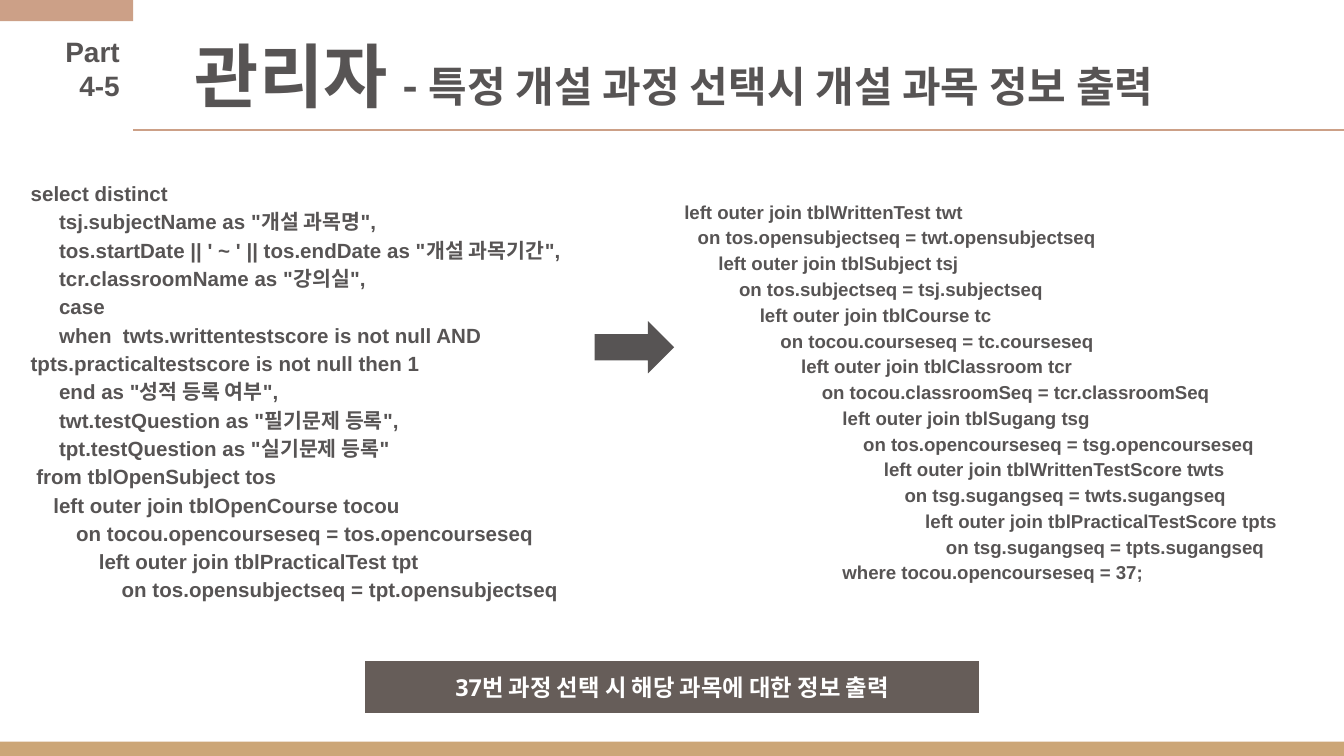
from dataclasses import dataclass

from lxml import etree
from pptx import Presentation
from pptx.dml.color import RGBColor
from pptx.enum.shapes import MSO_CONNECTOR as Connector, MSO_SHAPE as Shape
from pptx.enum.text import MSO_ANCHOR as Anchor, MSO_AUTO_SIZE as AutoSize, PP_ALIGN as Align
from pptx.oxml.ns import qn
from pptx.util import Inches, Pt

WIDTH = 10
HEIGHT = WIDTH * 9 / 16


@dataclass(frozen=True)
class Theme:
    """Colours, fonts and type sizes of the slide."""
    ink: str = "575454"
    sand: str = "CCA677"
    clay: str = "CCA087"
    banner: str = "665D59"
    white: str = "FFFFFF"
    code_font: str = "Arial"
    title_font: str = "Roboto"
    banner_font: str = "Open Sans"
    title_size: float = 37.4
    gap_size: float = 33.8
    subtitle_size: float = 22.5
    part_size: float = 15
    banner_size: float = 12.5
    select_size: float = 11
    join_size: float = 10


THEME = Theme()

# Each code line is (indent in spaces, text).
SELECT_LINES = [
    (0, "select distinct"),
    (5, 'tsj.subjectName as "개설 과목명",'),
    (5, "tos.startDate || ' ~ ' || tos.endDate as \"개설 과목기간\","),
    (5, 'tcr.classroomName as "강의실",'),
    (5, "case"),
    (5, "when  twts.writtentestscore is not null AND tpts.practicaltestscore is not null then 1"),
    (5, 'end as "성적 등록 여부",'),
    (5, 'twt.testQuestion as "필기문제 등록",'),
    (5, 'tpt.testQuestion as "실기문제 등록"'),
    (1, "from tblOpenSubject tos"),
    (4, "left outer join tblOpenCourse tocou"),
    (8, "on tocou.opencourseseq = tos.opencourseseq"),
    (12, "left outer join tblPracticalTest tpt"),
    (16, "on tos.opensubjectseq = tpt.opensubjectseq"),
]
JOIN_STEPS = [
    "on tos.opensubjectseq = twt.opensubjectseq",
    "left outer join tblSubject tsj",
    "on tos.subjectseq = tsj.subjectseq",
    "left outer join tblCourse tc",
    "on tocou.courseseq = tc.courseseq",
    "left outer join tblClassroom tcr",
    "on tocou.classroomSeq = tcr.classroomSeq",
    "left outer join tblSugang tsg",
    "on tos.opencourseseq = tsg.opencourseseq",
    "left outer join tblWrittenTestScore twts",
    "on tsg.sugangseq = twts.sugangseq",
    "left outer join tblPracticalTestScore tpts",
    "on tsg.sugangseq = tpts.sugangseq",
]
JOIN_LINES = [
    (21.4, "left outer join tblWrittenTest twt"),
    *((24 + 4 * step, text) for step, text in enumerate(JOIN_STEPS)),
    (52, "where tocou.opencourseseq = 37;"),
]


def area(left, top, width, height):
    """Turn percentages of the slide into left, top, width and height."""
    return [Inches(share * side / 100) for share, side in
            zip((left, top, width, height), (WIDTH, HEIGHT) * 2)]


def apply(target, values):
    """Set every attribute named in a dict."""
    for name, value in values.items():
        setattr(target, name, value)


def prepare_frame(frame, anchor=Anchor.TOP):
    """Give a text frame its margins, wrapping and anchor."""
    margins = {f"margin_{side}": Inches(0.1) for side in ("left", "top", "right", "bottom")}
    apply(frame, {**margins, "word_wrap": True, "auto_size": AutoSize.NONE,
                  "vertical_anchor": anchor})


def add_run(paragraph, text, size, font_name, color=THEME.ink):
    """Add a bold run of text."""
    run = paragraph.add_run()
    run.text = text
    apply(run.font, {"size": Pt(size), "bold": True, "name": font_name})
    run.font.color.rgb = RGBColor.from_string(color)


def indent_first_line(paragraph, length):
    """Indent only the first line of a paragraph."""
    properties = paragraph._p.get_or_add_pPr()
    properties.set("marL", "0")
    properties.set("indent", str(int(length)))


def add_block(slide, kind, place, fill, line=None):
    """Add a filled preset shape, with an outline if a colour is given."""
    shape = slide.shapes.add_shape(kind, *area(*place))
    shape.shadow.inherit = False
    shape.fill.solid()
    shape.fill.fore_color.rgb = RGBColor.from_string(fill)
    if line:
        shape.line.color.rgb = RGBColor.from_string(line)
        shape.line.width = Pt(1.5)
    else:
        shape.line.fill.background()
    return shape


def add_code(slide, place, lines, size):
    """Add a text box of code lines, each indented by its count of spaces."""
    frame = slide.shapes.add_textbox(*area(*place)).text_frame
    prepare_frame(frame)
    space_width = Pt(size) * 0.277
    for number, (spaces, text) in enumerate(lines):
        paragraph = frame.add_paragraph() if number else frame.paragraphs[0]
        paragraph.line_spacing = 1.15
        indent_first_line(paragraph, spaces * space_width)
        add_run(paragraph, text, size, THEME.code_font)


def add_rule(slide, left, top, width):
    """Add the thin horizontal line below the title."""
    x, y, length, _ = area(left, top, width, 0)
    rule = slide.shapes.add_connector(Connector.STRAIGHT, x, y, x + length, y)
    rule.line.color.rgb = RGBColor.from_string(THEME.clay)
    rule.line.width = Pt(0.75)
    etree.SubElement(rule._element.spPr, qn("a:effectLst"))


def add_part_label(slide, place, text):
    """Add the right-aligned part number."""
    frame = slide.shapes.add_textbox(*area(*place)).text_frame
    prepare_frame(frame)
    paragraph = frame.paragraphs[0]
    paragraph.alignment = Align.RIGHT
    add_run(paragraph, text, THEME.part_size, THEME.code_font)


def add_banner(slide, place, text):
    """Add the dark box with the summary sentence."""
    banner = add_block(slide, Shape.RECTANGLE, place, THEME.banner, THEME.white)
    prepare_frame(banner.text_frame, Anchor.MIDDLE)
    paragraph = banner.text_frame.paragraphs[0]
    paragraph.alignment = Align.CENTER
    add_run(paragraph, text, THEME.banner_size, THEME.banner_font, THEME.white)


def set_title(slide, place, heading, detail):
    """Fill the title placeholder with a large heading and a smaller detail."""
    title = slide.shapes.title
    apply(title, dict(zip(("left", "top", "width", "height"), area(*place))))
    prepare_frame(title.text_frame, Anchor.BOTTOM)
    paragraph = title.text_frame.paragraphs[0]
    paragraph.alignment = Align.LEFT
    indent_first_line(paragraph, Inches(0.12))
    for text, size in ((heading, THEME.title_size), (" ", THEME.gap_size),
                       (detail, THEME.subtitle_size)):
        add_run(paragraph, text, size, THEME.title_font)


def main():
    """Build and save the slide."""
    presentation = Presentation()
    apply(presentation, {"slide_width": Inches(WIDTH), "slide_height": Inches(HEIGHT)})
    slide = presentation.slides.add_slide(presentation.slide_layouts[5])

    add_block(slide, Shape.RECTANGLE, (0, 98.1, 100, 1.9), THEME.sand)
    add_code(slide, (1.3, 21.7, 41.7, 60), SELECT_LINES, THEME.select_size)
    add_code(slide, (41.7, 24.3, 58.3, 60), JOIN_LINES, THEME.join_size)
    add_block(slide, Shape.RIGHT_ARROW, (44.25, 42.5, 5.9, 6.9), THEME.ink)
    add_banner(slide, (27.05, 87.2, 45.9, 7.3), "37번 과정 선택 시 해당 과목에 대한 정보 출력")
    add_block(slide, Shape.RECTANGLE, (0, 0, 9.9, 2.8), THEME.clay)
    add_part_label(slide, (3.8, 2.8, 6.1, 12.6), "Part 4-5")
    add_rule(slide, 9.9, 17.2, 90.3)
    set_title(slide, (12.3, 6.7, 88.7, 10.5), "관리자", "- 특정 개설 과정 선택시 개설 과목 정보 출력")

    presentation.save("out.pptx")


main()
